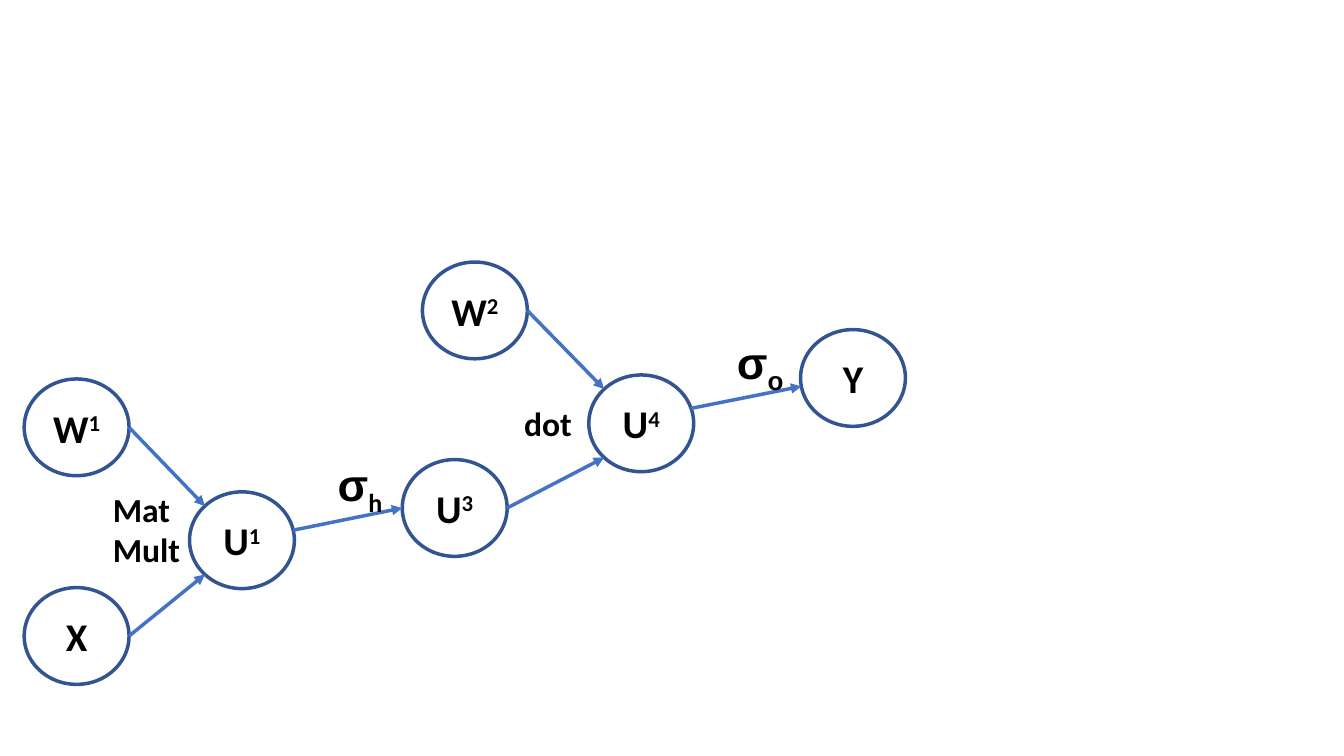
from math import cos, radians, sin

from lxml.etree import SubElement
from pptx import Presentation
from pptx.dml.color import RGBColor
from pptx.enum.shapes import MSO_CONNECTOR as Connector
from pptx.enum.shapes import MSO_SHAPE as Shape
from pptx.enum.text import MSO_ANCHOR as Anchor
from pptx.enum.text import MSO_AUTO_SIZE as AutoSize
from pptx.enum.text import PP_ALIGN as Align
from pptx.oxml.ns import qn
from pptx.util import Inches, Pt

NODE_WIDTH, NODE_HEIGHT = 1.04, 0.96
OUTLINE, ARROW, BLACK = "325491", "4472C4", "000000"
LINE_WIDTH = 2.5
RIGHT, UPPER_LEFT, LOWER_LEFT = 0, 225, 135  # clockwise degrees

# name: (left, top, letter, superscript)
NODES = {
    "x": (0.24, 5.83, "X", ""),
    "w1": (0.24, 3.76, "W", "1"),
    "u1": (1.88, 4.88, "U", "1"),
    "w2": (4.19, 2.6, "W", "2"),
    "u4": (5.84, 3.72, "U", "4"),
    "y": (7.94, 3.27, "Y", ""),
    "u3": (3.99, 4.56, "U", "3"),
}

# (source node, leaving angle, target node, arriving angle)
EDGES = [
    ("w1", RIGHT, "u1", UPPER_LEFT),
    ("x", RIGHT, "u1", LOWER_LEFT),
    ("w2", RIGHT, "u4", UPPER_LEFT),
    ("u3", RIGHT, "u4", LOWER_LEFT),
    ("u1", -12, "u3", 180),
    ("u4", -18, "y", 170),
]


def color(hex_string):
    """Turn a hex string into a colour."""
    return RGBColor.from_string(hex_string)


def add_span(para, text, size, font="Calibri", baseline=0):
    """Add a bold run, raised or lowered by a percentage."""
    span = para.add_run()
    span.text = text
    span.font.name = font
    span.font.size = Pt(size)
    span.font.bold = True
    span.font.color.rgb = color(BLACK)
    if baseline:
        span._r.get_or_add_rPr().set("baseline", str(baseline * 1000))


def add_node(page, left, top, letter, superscript):
    """Draw one variable of the graph as an ellipse."""
    node = page.shapes.add_shape(Shape.OVAL, Inches(left), Inches(top),
                                 Inches(NODE_WIDTH), Inches(NODE_HEIGHT))
    node.shadow.inherit = False
    node.fill.background()
    node.line.color.rgb = color(OUTLINE)
    node.line.width = Pt(LINE_WIDTH)
    node.text_frame.vertical_anchor = Anchor.MIDDLE
    para = node.text_frame.paragraphs[0]
    para.alignment = Align.CENTER
    add_span(para, letter, 28)
    if superscript:
        add_span(para, superscript, 28, baseline=30)


def rim_point(name, angle):
    """Return the point on a node's rim at a clockwise angle."""
    left, top = NODES[name][:2]
    turn = radians(angle)
    return (Inches(left + NODE_WIDTH / 2 * (1 + cos(turn))),
            Inches(top + NODE_HEIGHT / 2 * (1 + sin(turn))))


def add_arrow(page, source, leaving, target, arriving):
    """Draw an arrow from the rim of one node to that of another."""
    arrow = page.shapes.add_connector(Connector.STRAIGHT,
                                      *rim_point(source, leaving),
                                      *rim_point(target, arriving))
    arrow.line.color.rgb = color(ARROW)
    arrow.line.width = Pt(LINE_WIDTH)
    SubElement(arrow.line._get_or_add_ln(), qn("a:tailEnd"), type="triangle")
    SubElement(arrow._element.spPr, qn("a:effectLst"))


def add_label(page, left, top, width, height):
    """Add an empty text box and return its text frame."""
    box = page.shapes.add_textbox(Inches(left), Inches(top),
                                  Inches(width), Inches(height))
    box.text_frame.word_wrap = True
    box.text_frame.auto_size = AutoSize.SHAPE_TO_FIT_TEXT
    return box.text_frame


def add_operation(page, left, top, height, lines):
    """Name an operation beside its node, one paragraph a line."""
    frame = add_label(page, left, top, 1.12, height)
    for index, line in enumerate(lines):
        para = frame.add_paragraph() if index else frame.paragraphs[0]
        add_span(para, line, 24)


def add_sigma(page, left, top, subscript, subscript_font):
    """Label an arrow with a sigma and its subscript."""
    para = add_label(page, left, top, 0.82, 0.64).paragraphs[0]
    add_span(para, "σ", 32, "Arial")
    add_span(para, subscript, 32, subscript_font, -25)


def main():
    """Build the computation graph and save it."""
    deck = Presentation()
    deck.slide_width, deck.slide_height = Inches(13.33), Inches(7.5)
    page = deck.slides.add_slide(deck.slide_layouts[6])
    for node in NODES.values():
        add_node(page, *node)
    for edge in EDGES:
        add_arrow(page, *edge)
    add_operation(page, 1.02, 4.8, 0.91, ["Mat", "Mult"])
    add_operation(page, 5.1, 3.95, 0.5, ["dot"])
    add_sigma(page, 3.25, 4.48, "h", "Calibri")
    add_sigma(page, 7.21, 3.27, "ο", "Arial")
    deck.save("out.pptx")


main()
